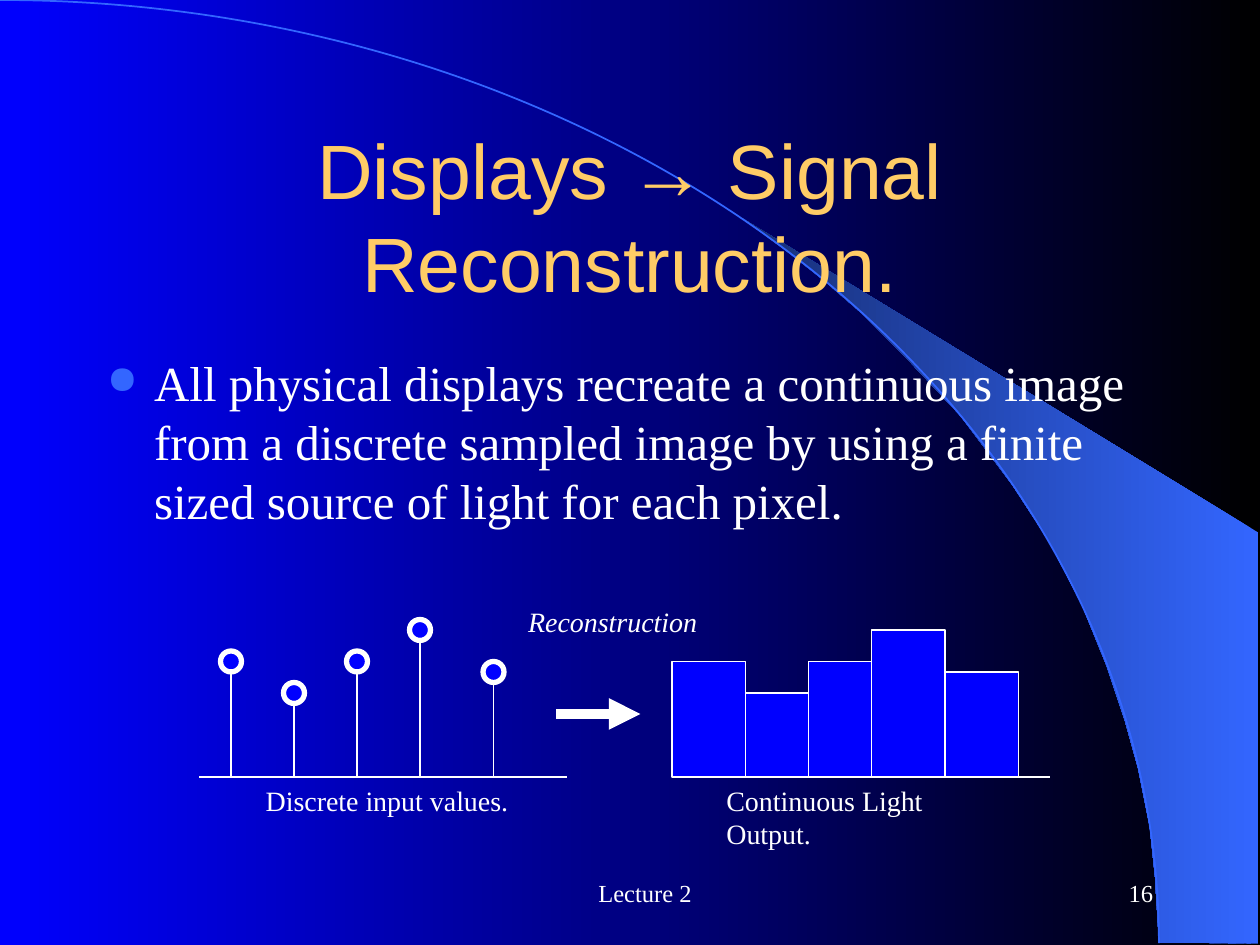
from lxml import etree
from pptx import Presentation
from pptx.dml.color import RGBColor
from pptx.enum.shapes import MSO_CONNECTOR, MSO_SHAPE
from pptx.enum.text import MSO_ANCHOR, PP_ALIGN
from pptx.oxml.ns import qn
from pptx.util import Pt

PX = 9525  # EMU per px, 96 px to the inch
STRAIGHT = MSO_CONNECTOR.STRAIGHT
ARC, OVAL, RECTANGLE = MSO_SHAPE.ARC, MSO_SHAPE.OVAL, MSO_SHAPE.RECTANGLE
TOP, MIDDLE = MSO_ANCHOR.TOP, MSO_ANCHOR.MIDDLE
LEFT, CENTER, RIGHT = PP_ALIGN.LEFT, PP_ALIGN.CENTER, PP_ALIGN.RIGHT

BLACK, BLUE, WHITE = "000000", "0000FF", "FFFFFF"
ACCENT, NAVY, GOLD = "3366FF", "172F75", "FFCC66"
SANS, SERIF = "Arial", "Times New Roman"

BASELINE = 592
LEVELS = [504, 528, 504, 480, 512]
STEM_CENTERS = [176, 224, 272, 320, 376]
BAR_EDGES = [512, 568, 616, 664, 720, 776]
DOT_RADIUS = 8
WEDGE = [
    (883, 718), (959, 719), (959, 406), (565, 166), (599, 191), (627, 213),
    (658, 240), (687, 269), (732, 317), (771, 369), (799, 412), (824, 460),
    (843, 507), (857, 549), (867, 585), (876, 630), (880, 668),
]


def px(*lengths):
    return [length * PX for length in lengths]


def color(value):
    return RGBColor.from_string(value)


def set_gradient(fill, start, end):
    """Blend from start at the right to end at the left."""
    fill.gradient()
    fill.gradient_angle = 180
    for stop, value in zip(fill.gradient_stops, (start, end)):
        stop.color.rgb = color(value)


def add_outlined(slide, kind, box, fill, line, width):
    shape = slide.shapes.add_shape(kind, *px(*box))
    shape.shadow.inherit = False
    if fill:
        shape.fill.solid()
        shape.fill.fore_color.rgb = color(fill)
    else:
        shape.fill.background()
    shape.line.color.rgb = color(line)
    shape.line.width = Pt(width)
    return shape


def add_line(slide, start, end, width=0.75, arrow=False):
    connector = slide.shapes.add_connector(STRAIGHT, *px(*start, *end))
    connector.line.color.rgb = color(WHITE)
    connector.line.width = Pt(width)
    properties = connector._element.spPr
    if arrow:
        tail = etree.SubElement(properties.find(qn("a:ln")), qn("a:tailEnd"))
        tail.set("type", "triangle")
    etree.SubElement(properties, qn("a:effectLst"))
    return connector


def add_text(slide, box, text, size, font=SERIF, fill=WHITE, align=LEFT,
             anchor=TOP, wrap=True, italic=False, indent=0, bullet=False):
    frame = slide.shapes.add_textbox(*px(*box)).text_frame
    frame.word_wrap = wrap
    frame.vertical_anchor = anchor
    paragraph = frame.paragraphs[0]
    paragraph.alignment = align
    properties = paragraph._p.get_or_add_pPr()
    if indent:
        properties.set("marL", str(indent * PX))
    if bullet:
        add_bullet(properties, indent)
    run = paragraph.add_run()
    run.text = text
    run.font.size = Pt(size)
    run.font.name = font
    run.font.italic = italic
    run.font.color.rgb = color(fill)


def add_bullet(properties, indent):
    properties.set("indent", str(-indent * PX))
    bullet_color = etree.SubElement(properties, qn("a:buClr"))
    etree.SubElement(bullet_color, qn("a:srgbClr")).set("val", ACCENT)
    etree.SubElement(properties, qn("a:buSzPct")).set("val", "80000")
    etree.SubElement(properties, qn("a:buChar")).set("char", "●")


def add_backdrop(slide):
    set_gradient(slide.background.fill, BLACK, BLUE)
    builder = slide.shapes.build_freeform(*WEDGE[0], scale=PX)
    builder.add_line_segments(WEDGE[1:], close=True)
    wedge = builder.convert_to_shape()
    wedge.shadow.inherit = False
    set_gradient(wedge.fill, ACCENT, NAVY)
    wedge.line.fill.background()
    add_outlined(slide, ARC, (-883, 0, 1766, 1437), None, ACCENT, 1)


def add_samples(slide):
    add_line(slide, (152, BASELINE), (432, BASELINE))
    for center, level in zip(STEM_CENTERS, LEVELS):
        add_line(slide, (center, level + DOT_RADIUS), (center, BASELINE))
        box = (center - DOT_RADIUS, level - DOT_RADIUS,
               2 * DOT_RADIUS, 2 * DOT_RADIUS)
        add_outlined(slide, OVAL, box, BLUE, WHITE, 3)


def add_bars(slide):
    add_line(slide, (520, BASELINE), (800, BASELINE))
    for left, right, level in zip(BAR_EDGES, BAR_EDGES[1:], LEVELS):
        box = (left, level, right - left, BASELINE - level)
        add_outlined(slide, RECTANGLE, box, BLUE, WHITE, 0.75)


def main():
    presentation = Presentation()
    presentation.slide_width, presentation.slide_height = px(960, 720)
    slide = presentation.slides.add_slide(presentation.slide_layouts[6])

    add_backdrop(slide)
    add_text(slide, (72, 112, 816, 104), "Displays → Signal Reconstruction.",
             44, SANS, GOLD, CENTER, MIDDLE)
    add_text(slide, (72, 264, 816, 432),
             "All physical displays recreate a continuous image from a discrete "
             "sampled image by using a finite sized source of light for each "
             "pixel.", 28, indent=36, bullet=True)

    add_samples(slide)
    add_bars(slide)
    add_line(slide, (424, 544), (488, 544), 6, arrow=True)
    add_text(slide, (393, 456, 148, 36), "Reconstruction", 16,
             wrap=False, italic=True)
    add_text(slide, (193, 592, 204, 36), "Discrete input values.", 16,
             wrap=False)
    add_text(slide, (544, 592, 238, 36), "Continuous Light Output.", 16,
             wrap=False)

    add_text(slide, (328, 656, 304, 48), "Lecture 2", 14, align=CENTER,
             anchor=MIDDLE, indent=23)
    add_text(slide, (688, 656, 200, 48), "16", 14, align=RIGHT,
             anchor=MIDDLE, indent=23)
    presentation.save("out.pptx")


if __name__ == "__main__":
    main()
